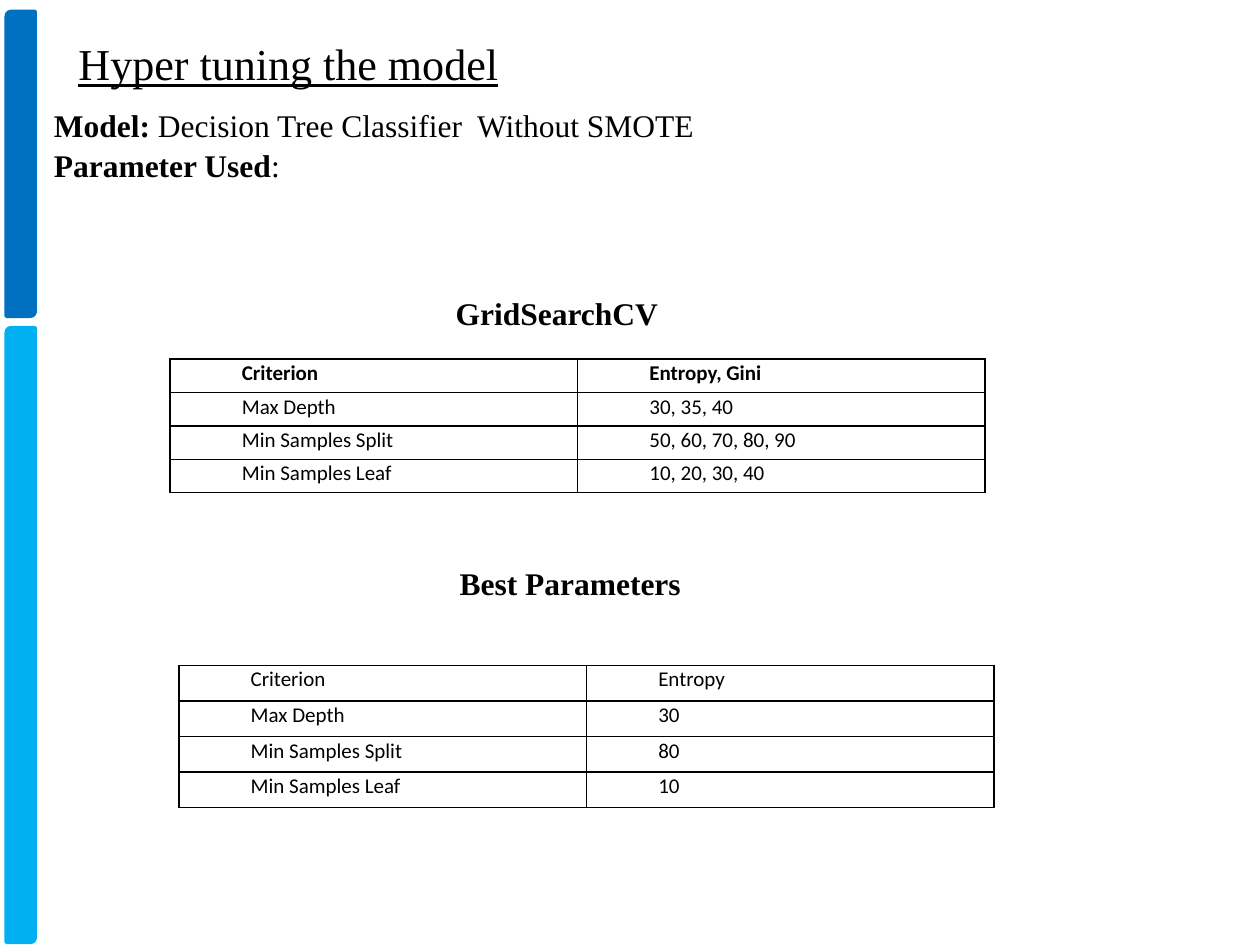
import pptx
import pptx.dml.color
import pptx.enum.shapes
import pptx.enum.text
import pptx.oxml
import pptx.oxml.ns
import pptx.util

Inches = pptx.util.Inches
Pt = pptx.util.Pt
RGB = pptx.dml.color.RGBColor.from_string
ALIGN = pptx.enum.text.PP_ALIGN
COLORS = {"black": "000000", "blue": "0070C0", "sky": "00B0F0"}
SERIF = "Times New Roman"


def write_paragraph(p, runs, size, font, fmt, margin=0, indent=0):
    for name, value in fmt.items():
        setattr(p, name, value)
    pPr = p._p.get_or_add_pPr()
    pPr.set("marL", str(Inches(margin)))
    pPr.set("indent", str(Inches(indent)))
    for text, style in runs:
        r = p.add_run()
        r.text = text
        for name, value in {"size": Pt(size), "name": font, **style}.items():
            setattr(r.font, name, value)
        r.font.color.rgb = RGB(COLORS["black"])


def add_border(cell):
    tcPr = cell._tc.get_or_add_tcPr()
    for i, side in enumerate(("lnL", "lnR", "lnT", "lnB")):
        tcPr.insert(i, pptx.oxml.parse_xml(
            f'<a:{side} {pptx.oxml.ns.nsdecls("a")} w="{Pt(1)}"><a:solidFill>'
            f'<a:srgbClr val="{COLORS["black"]}"/></a:solidFill></a:{side}>'))


prs = pptx.Presentation()
prs.slide_width, prs.slide_height = Inches(10), Inches(7.5)
s = prs.slides.add_slide(prs.slide_layouts[6])

for top, height, color in ((0.09, 2.42, "blue"), (2.6, 4.88, "sky")):
    sp = s.shapes.add_shape(
        pptx.enum.shapes.MSO_SHAPE.ROUND_2_DIAG_RECTANGLE,
        Inches(0.05), Inches(top), Inches(0.23), Inches(height))
    sp.shadow.inherit = False
    sp.fill.solid()
    sp.fill.fore_color.rgb = RGB(COLORS[color])
    sp.line.color.rgb = RGB(COLORS[color])
    sp.line.width = Pt(2)

bold, plain = {"bold": True}, {"bold": False}
tight = {"line_spacing": 1.07, "space_after": Pt(0)}
spaced = {"line_spacing": 1.07, "space_after": Pt(8)}
TOP, MIDDLE = pptx.enum.text.MSO_ANCHOR.TOP, pptx.enum.text.MSO_ANCHOR.MIDDLE

texts = (
    ((0, 0.25, 4.58, 0.5), MIDDLE, 25.2, [
        ([("Hyper tuning the model", {"underline": True})], {"alignment": ALIGN.CENTER}, 0, 0)]),
    ((-0.17, 0.77, 8.5, 0.73), TOP, 18, [
        ([("Model: ", bold), ("Decision Tree Classifier  Without SMOTE", plain)],
         {**tight, "alignment": ALIGN.JUSTIFY}, 0.5, 0),
        ([("Parameter Used", bold), (":", plain)], spaced, 0.5, 0)]),
    ((2.42, 2.26, 3, 0.41), TOP, 18, [
        ([("GridSearchCV", bold)], {**spaced, "alignment": ALIGN.CENTER}, 0.5, 0.5)]),
    ((3.55, 4.43, 2.21, 0.71), TOP, 18, [([("Best Parameters", bold)], {}, 0, 0)]),
)
for box, anchor, size, paragraphs in texts:
    tf = s.shapes.add_textbox(*map(Inches, box)).text_frame
    tf.word_wrap = True
    tf.vertical_anchor = anchor
    for i, (runs, fmt, margin, indent) in enumerate(paragraphs):
        p = tf.add_paragraph() if i else tf.paragraphs[0]
        write_paragraph(p, runs, size, SERIF, fmt, margin, indent)

labels = ("Criterion", "Max Depth", "Min Samples Split", "Min Samples Leaf")
tables = (
    (1.35, 2.85, 1.06, True, ("Entropy, Gini", "30, 35, 40", "50, 60, 70, 80, 90", "10, 20, 30, 40")),
    (1.42, 5.28, 1.13, False, ("Entropy", "30", "80", "10")),
)
cell_format = {"margin_left": Inches(0.07), "margin_right": Inches(0.07),
               "margin_top": 0, "margin_bottom": 0}
for left, top, height, bold_header, values in tables:
    table = s.shapes.add_table(len(labels), 2, Inches(left), Inches(top),
                               Inches(6.47), Inches(height)).table
    table.first_row = table.horz_banding = False
    for row, pair in enumerate(zip(labels, values)):
        for col, text in enumerate(pair):
            cell = table.cell(row, col)
            for name, value in cell_format.items():
                setattr(cell, name, value)
            cell.fill.background()
            add_border(cell)
            write_paragraph(cell.text_frame.paragraphs[0],
                            [(text, {"bold": bold_header and row == 0})],
                            12, "Calibri", spaced if col else tight, 0.5)

prs.save("out.pptx")
